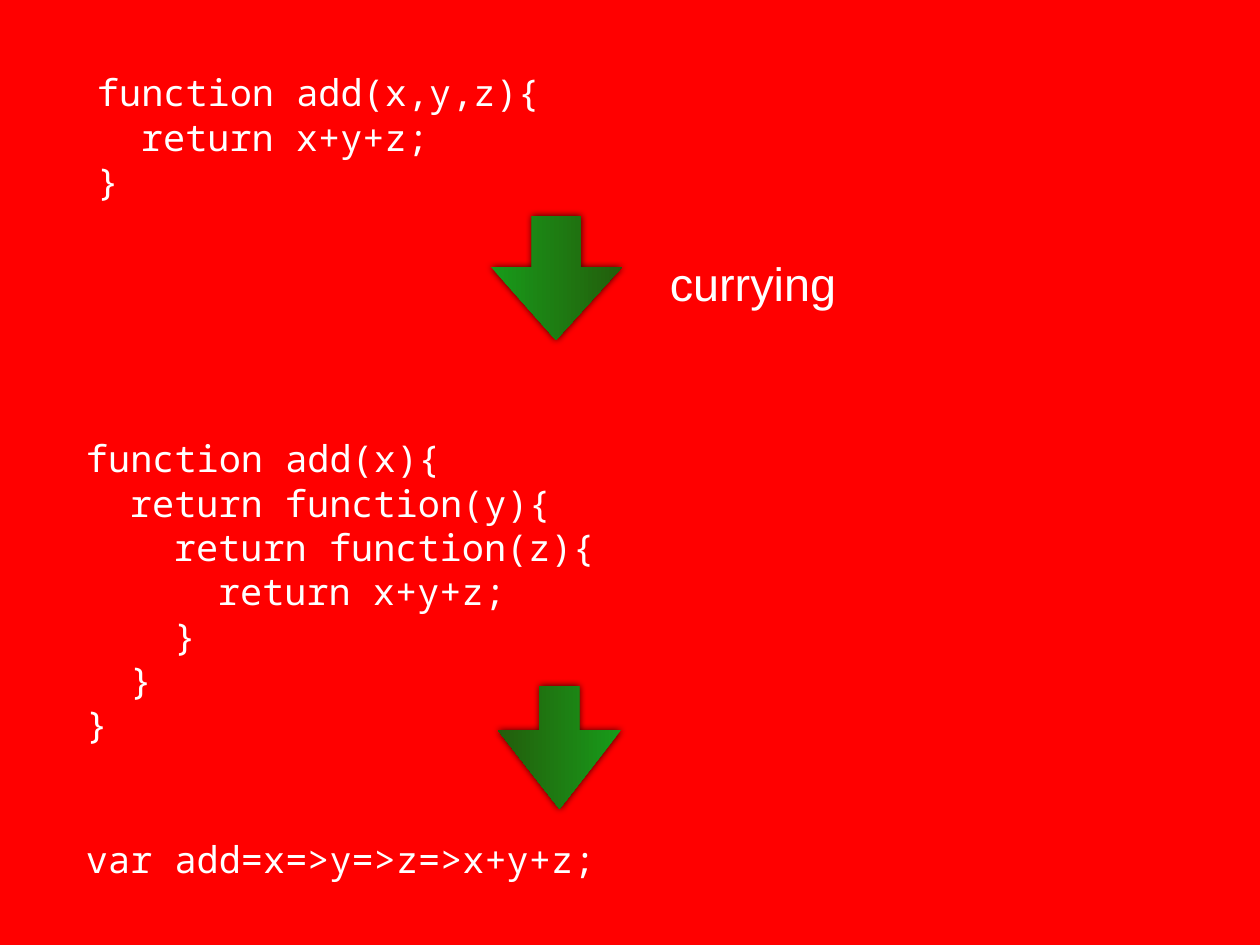
"""Build a slide that shows a function before and after currying."""
from typing import NamedTuple

from lxml.etree import SubElement
from pptx import Presentation
from pptx.dml.color import RGBColor
from pptx.enum.shapes import MSO_SHAPE
from pptx.enum.text import MSO_ANCHOR, PP_ALIGN
from pptx.oxml.ns import qn
from pptx.shapes.autoshape import Shape
from pptx.slide import Slide
from pptx.util import Emu, Pt

SCALE = 10320
TAB = 44
INSET = 5
COLORS = {"back": "FF0000", "text": "FFFFFF", "light": "189B1A",
          "dark": "235D0B", "shade": "000000"}


class Box(NamedTuple):
    left: int
    top: int
    width: int
    height: int


class Code(NamedTuple):
    box: Box
    text: str


FULL = Code(Box(92, 50, 1076, 173), "function add(x,y,z){\nreturn x+y+z;\n}")
NESTED = Code(
    Box(81, 392, 1076, 398),
    "function add(x){\nreturn function(y){\nreturn function(z){\n"
    "return x+y+z;\n}\n}\n}",
)
SHORT = Code(Box(81, 815, 1076, 88), "var add=x=>y=>z=>x+y+z;")
LABEL = Box(652, 246, 202, 74)
ARROW = Box(498, 686, 123, 123)
POINTS = [(581, 267), (622, 267), (556, 340), (491, 267),
          (532, 267), (532, 216), (581, 216)]


def px(size: int) -> Emu:
    """Turn px into EMU."""
    return Emu(size * SCALE)


def color(name: str) -> RGBColor:
    """Look up a colour by name."""
    return RGBColor.from_string(COLORS[name])


def write(slide: Slide, box: Box, text: str, *, font: str, size: int,
          align: PP_ALIGN = PP_ALIGN.LEFT, pitch: int | None = None) -> Shape:
    """Add a text box whose lines are indented by their brace depth."""
    shape = slide.shapes.add_textbox(*map(px, box))
    frame = shape.text_frame
    frame.word_wrap = True
    frame.vertical_anchor = MSO_ANCHOR.MIDDLE
    frame.margin_left = frame.margin_right = px(INSET)
    frame.margin_top = frame.margin_bottom = px(INSET)
    frame.text = text
    depth = 0
    for para in frame.paragraphs:
        depth -= para.text == "}"
        para.alignment = align
        if pitch:
            para.line_spacing = Pt(pitch)
        para._p.get_or_add_pPr().set("marL", str(px(TAB * depth)))
        style = para.runs[0].font
        style.name, style.size = font, Pt(size)
        style.color.rgb = color("text")
        depth += para.text.endswith("{")
    return shape


def code(slide: Slide, item: Code) -> None:
    """Add a block of code."""
    write(slide, item.box, item.text, font="Noto Sans Mono", size=30, pitch=36)


def paint(shape: Shape, angle: int) -> None:
    """Give an arrow its green gradient and soft shadow."""
    shape.line.fill.background()
    shape.fill.gradient()
    shape.fill.gradient_angle = angle
    for stop, name in zip(shape.fill.gradient_stops, ("light", "dark")):
        stop.color.rgb = color(name)
    shape.shadow.inherit = False
    effects = shape._element.spPr.find(qn("a:effectLst"))
    shade = SubElement(effects, qn("a:outerShdw"), blurRad=str(Pt(6)),
                       dist="0", dir="18900000", rotWithShape="0")
    tint = SubElement(shade, qn("a:srgbClr"), val=COLORS["shade"])
    SubElement(tint, qn("a:alpha"), val="80000")


def main() -> None:
    """Draw and save the slide."""
    deck = Presentation()
    deck.slide_width, deck.slide_height = px(1260), px(945)
    slide = deck.slides.add_slide(deck.slide_layouts[6])
    slide.background.fill.solid()
    slide.background.fill.fore_color.rgb = color("back")

    code(slide, FULL)
    code(slide, NESTED)

    pen = slide.shapes.build_freeform(*POINTS[0], scale=SCALE)
    pen.add_line_segments(POINTS[1:], close=True)
    first = pen.convert_to_shape()
    paint(first, 0)
    label = write(slide, LABEL, "currying", font="Arial", size=38,
                  align=PP_ALIGN.CENTER)
    slide.shapes.add_group_shape([first, label])

    code(slide, SHORT)

    second = slide.shapes.add_shape(MSO_SHAPE.RIGHT_ARROW, *map(px, ARROW))
    second.rotation = 90
    second.adjustments[0], second.adjustments[1] = 0.32, 0.64
    paint(second, 270)
    deck.save("out.pptx")


if __name__ == "__main__":
    main()
